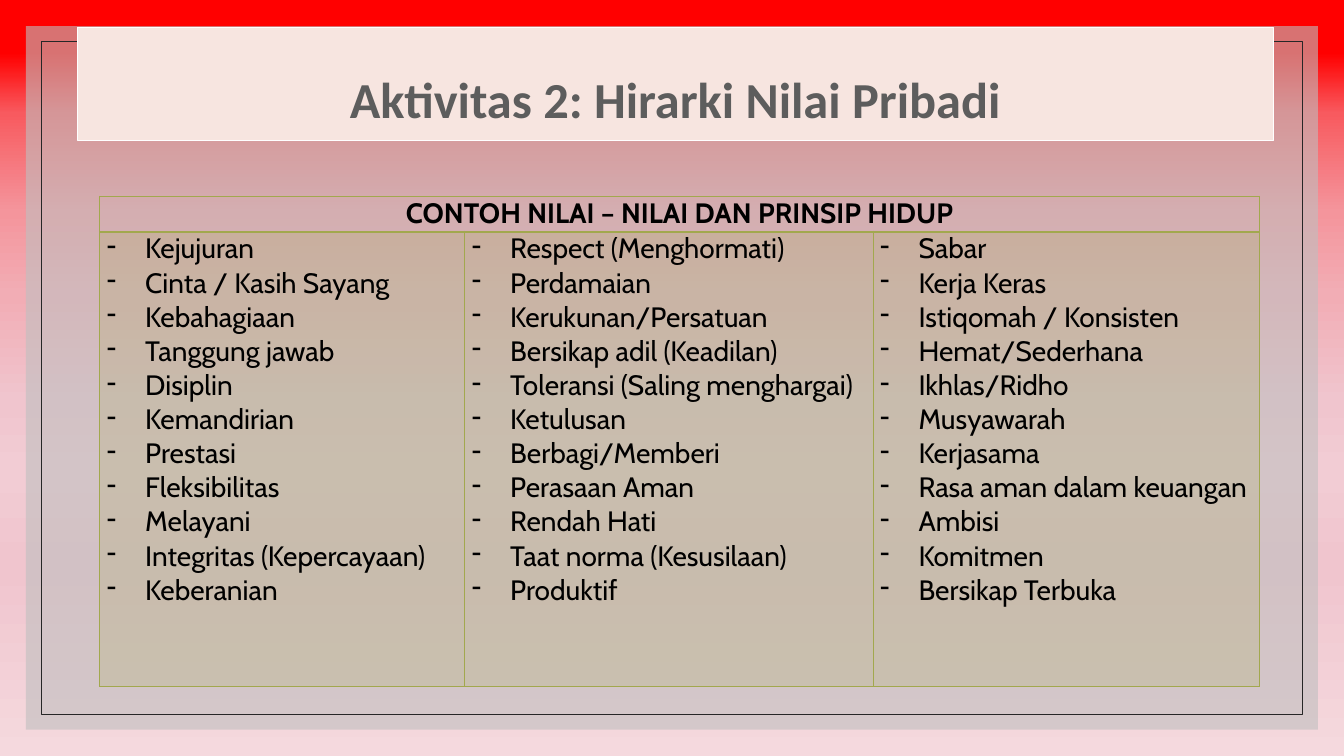
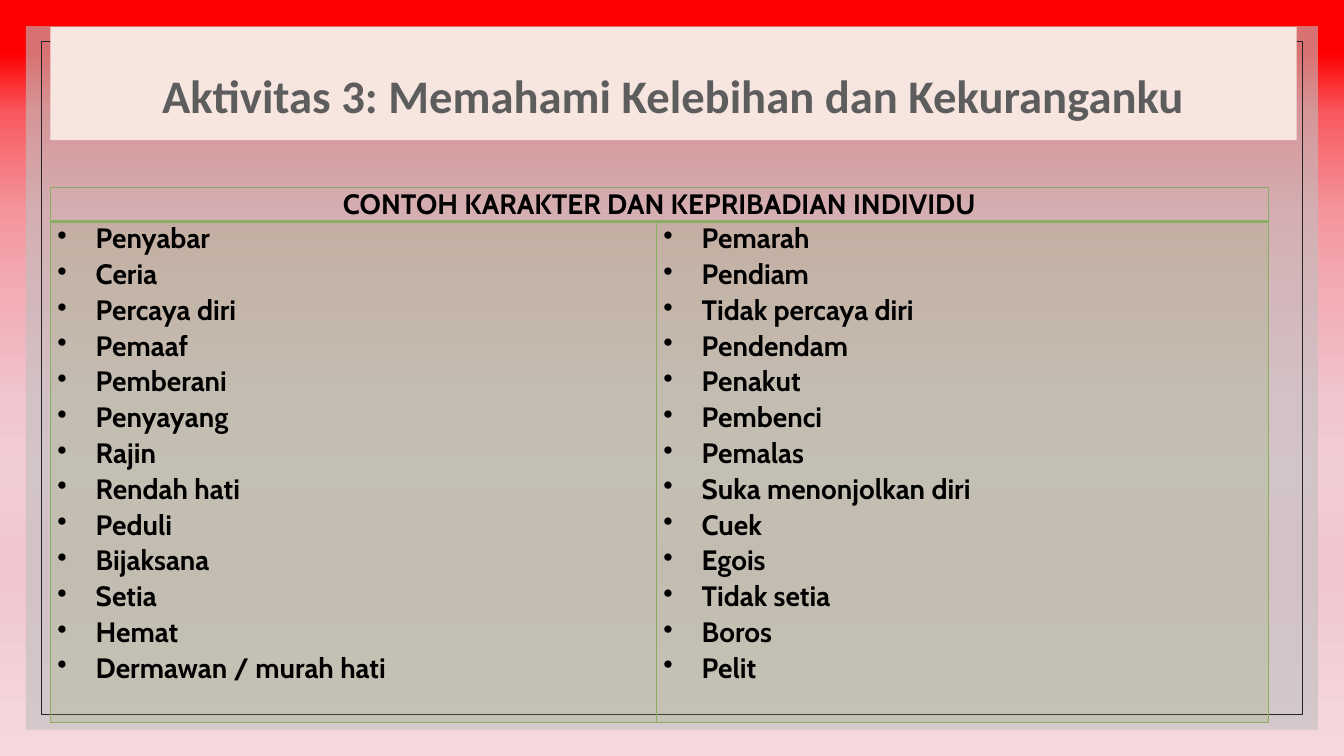
from lxml import etree
from pptx import Presentation
from pptx import util as u
from pptx.dml.color import RGBColor
from pptx.enum import shapes, text
from pptx.oxml import ns

WIDE, TALL = u.Inches(13.33), u.Inches(7.5)
HEX = {
    "veil": "BFBFBF", "rule": "262626", "band": "F7E5E0", "edge": "FFFFFF",
    "title": "5D5D5D", "ink": "000000", "olive": "A2A84E", "green": "8AAD64",
}
SKY = [(7, "FF0000"), (15, "F85A5F"), (28, "F4959C"), (39, "F2ADB5"),
       (53, "F0C5CE"), (62, "F2CCD4"), (75, "F0C5CE"), (100, "F5D9DE")]
BAND_TOP, BAND_TALL = 3.6, 14.93
HANG, PAD = u.Inches(0.38), u.Inches(0.07)

VALUES = [
    ["Kejujuran", "Cinta / Kasih Sayang", "Kebahagiaan", "Tanggung jawab",
     "Disiplin", "Kemandirian", "Prestasi", "Fleksibilitas", "Melayani",
     "Integritas (Kepercayaan)", "Keberanian"],
    ["Respect (Menghormati)", "Perdamaian", "Kerukunan/Persatuan",
     "Bersikap adil (Keadilan)", "Toleransi (Saling menghargai)", "Ketulusan",
     "Berbagi/Memberi", "Perasaan Aman", "Rendah Hati",
     "Taat norma (Kesusilaan)", "Produktif"],
    ["Sabar", "Kerja Keras", "Istiqomah / Konsisten", "Hemat/Sederhana",
     "Ikhlas/Ridho", "Musyawarah", "Kerjasama", "Rasa aman dalam keuangan",
     "Ambisi", "Komitmen", "Bersikap Terbuka"],
]
TRAITS = [
    ["Penyabar", "Ceria", "Percaya diri", "Pemaaf", "Pemberani", "Penyayang",
     "Rajin", "Rendah hati", "Peduli", "Bijaksana", "Setia", "Hemat",
     "Dermawan / murah hati"],
    ["Pemarah", "Pendiam", "Tidak percaya diri", "Pendendam", "Penakut",
     "Pembenci", "Pemalas", "Suka menonjolkan diri", "Cuek", "Egois",
     "Tidak setia", "Boros", "Pelit"],
]


# Lengths: percent of the slide's width or height
def across(share):
    return round(WIDE * share / 100)


def down(share):
    return round(TALL * share / 100)


def rgb(name):
    return RGBColor.from_string(HEX[name])


# XML helpers
def add(parent, tag, **attrs):
    node = etree.SubElement(parent, ns.qn(tag))
    for key, value in attrs.items():
        node.set(key, str(value))
    return node


def fade(node, share):
    """Make the solid fill inside node partly see-through."""
    add(node.xpath(".//a:solidFill/a:srgbClr")[0], "a:alpha", val=share * 1000)


# Shared backdrop on the master
def paint(master):
    fill = master.background.fill
    fill.gradient()
    fill.gradient_angle = 270
    stops = master.element.xpath(".//p:bg//a:gsLst")[0]
    for stop in list(stops):
        stops.remove(stop)
    for place, shade in SKY:
        add(add(stops, "a:gs", pos=place * 1000), "a:srgbClr", val=shade)


def frame(slide, master, order, left, top, fill=None, line=None):
    """Draw a centred frame and move it to the back of the master."""
    box = slide.shapes.add_shape(
        shapes.MSO_SHAPE.RECTANGLE, across(left), down(top),
        across(100 - 2 * left), down(100 - 2 * top))
    box.shadow.inherit = False
    if fill:
        box.fill.solid()
        box.fill.fore_color.rgb = rgb(fill)
        fade(box.element, 60)
    else:
        box.fill.background()
    if line:
        box.line.color.rgb = rgb(line)
        box.line.width = u.Pt(0.5)
    else:
        box.line.fill.background()
    box.element.xpath(".//p:cNvPr")[0].set("id", str(100 + order))
    master.shapes.element.insert(2 + order, box.element)


# Title band
def head(slide, words, left, wide, size, space, edge=None):
    band = slide.shapes.title
    band.left, band.top = across(left), down(BAND_TOP)
    band.width, band.height = across(wide), down(BAND_TALL)
    band.fill.solid()
    band.fill.fore_color.rgb = rgb("band")
    if edge:
        band.line.color.rgb = rgb(edge)
        band.line.width = u.Pt(0.75)
    frm = band.text_frame
    frm.text = words
    frm.word_wrap = True
    frm.auto_size = text.MSO_AUTO_SIZE.NONE
    frm.vertical_anchor = text.MSO_ANCHOR.MIDDLE
    para = frm.paragraphs[0]
    para.alignment = text.PP_ALIGN.CENTER
    para.line_spacing = space
    style(para, "Calibri", size, "title", True)


def style(para, face, size, shade, bold):
    for run in para.runs:
        run.font.name = face
        run.font.size = u.Pt(size)
        run.font.color.rgb = rgb(shade)
        run.font.bold = bold


# Table parts
def border(cell, shade, thick):
    """Rule all four sides; thick names the side between head and body."""
    props = cell._tc.get_or_add_tcPr()
    for spot, side in enumerate(("a:lnL", "a:lnR", "a:lnT", "a:lnB")):
        line = add(props, side, w=u.Pt(2 if side == thick else 1))
        add(add(line, "a:solidFill"), "a:srgbClr", val=HEX[shade])
        props.insert(spot, line)


def bullet(para, mark):
    props = para._p.get_or_add_pPr()
    props.set("marL", str(HANG))
    props.set("indent", str(-HANG))
    add(props, "a:buChar", char=mark)


def items(cell, lines, mark, bold, after):
    frm = cell.text_frame
    frm.text = "\n".join(lines)
    for para in frm.paragraphs:
        para.space_after = u.Pt(after)
        bullet(para, mark)
        style(para, "Cabin", 20, "ink", bold)


def grid(slide, left, top, cols, rows, shade, label, lists, mark, bold, after):
    table = slide.shapes.add_table(
        len(rows), len(cols), across(left), down(top),
        across(sum(cols)), down(sum(rows))).table
    for col, share in zip(table.columns, cols):
        col.width = across(share)
    for row, share in zip(table.rows, rows):
        row.height = down(share)
    # Fills, margins and rules
    for cell in table.iter_cells():
        cell.margin_left = cell.margin_right = PAD
        cell.margin_top = cell.margin_bottom = 0
    for num in range(len(cols)):
        top_cell, body = table.cell(0, num), table.cell(1, num)
        top_cell.fill.background()
        body.fill.solid()
        body.fill.fore_color.rgb = rgb(shade)
        fade(body._tc, 20)
        border(top_cell, shade, "a:lnB")
        border(body, shade, "a:lnT")
        items(body, lists[num], mark, bold, after)
    # Heading across all columns
    first = table.cell(0, 0)
    first.merge(table.cell(0, len(cols) - 1))
    first.text_frame.text = label
    para = first.text_frame.paragraphs[0]
    para.alignment = text.PP_ALIGN.CENTER
    style(para, "Cabin", 20, "ink", True)


def main():
    prs = Presentation()
    prs.slide_width, prs.slide_height = WIDE, TALL
    master, plain = prs.slide_master, prs.slide_layouts[5]
    paint(master)

    # Values
    slide = prs.slides.add_slide(plain)
    frame(slide, master, 0, 1.93, 3.47, fill="veil")
    frame(slide, master, 1, 3.07, 5.47, line="rule")
    head(slide, "Aktivitas 2: Hirarki Nilai Pribadi", 5.78, 88.97, 36, 1.5,
         edge="edge")
    grid(slide, 7.43, 26, [27.16, 30.38, 28.73], [4.67, 60.13], "olive",
         "CONTOH NILAI – NILAI DAN PRINSIP HIDUP", VALUES, "-", False, 0)

    # Traits
    slide = prs.slides.add_slide(plain)
    head(slide, "Aktivitas 3: Memahami Kelebihan dan Kekuranganku",
         3.75, 92.72, 33.3, 1.4)
    grid(slide, 3.75, 24.8, [45.09, 45.54], [4.4, 66.27], "green",
         "CONTOH KARAKTER DAN KEPRIBADIAN INDIVIDU", TRAITS, "•", True, 1.2)

    prs.save("out.pptx")


if __name__ == "__main__":
    main()
